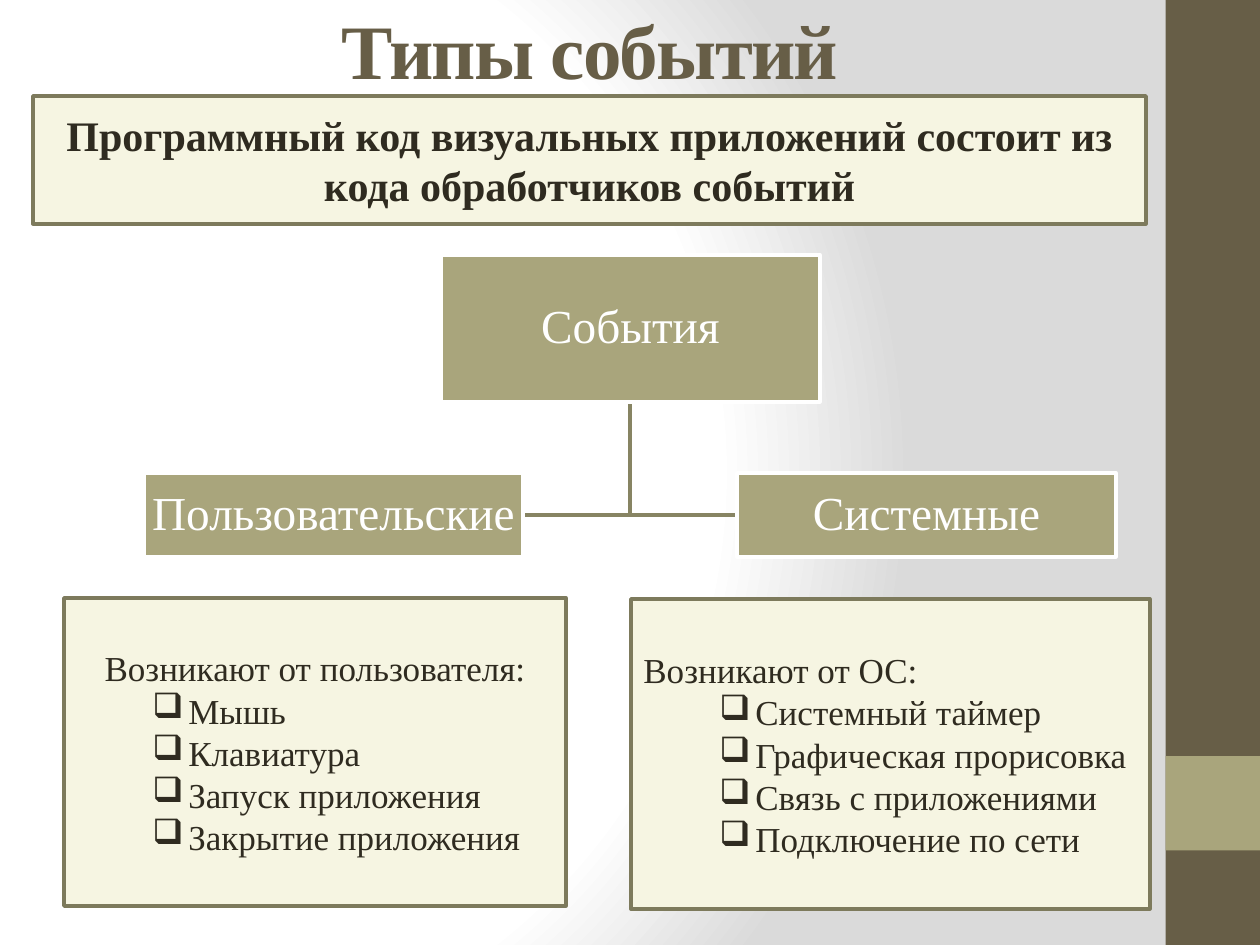
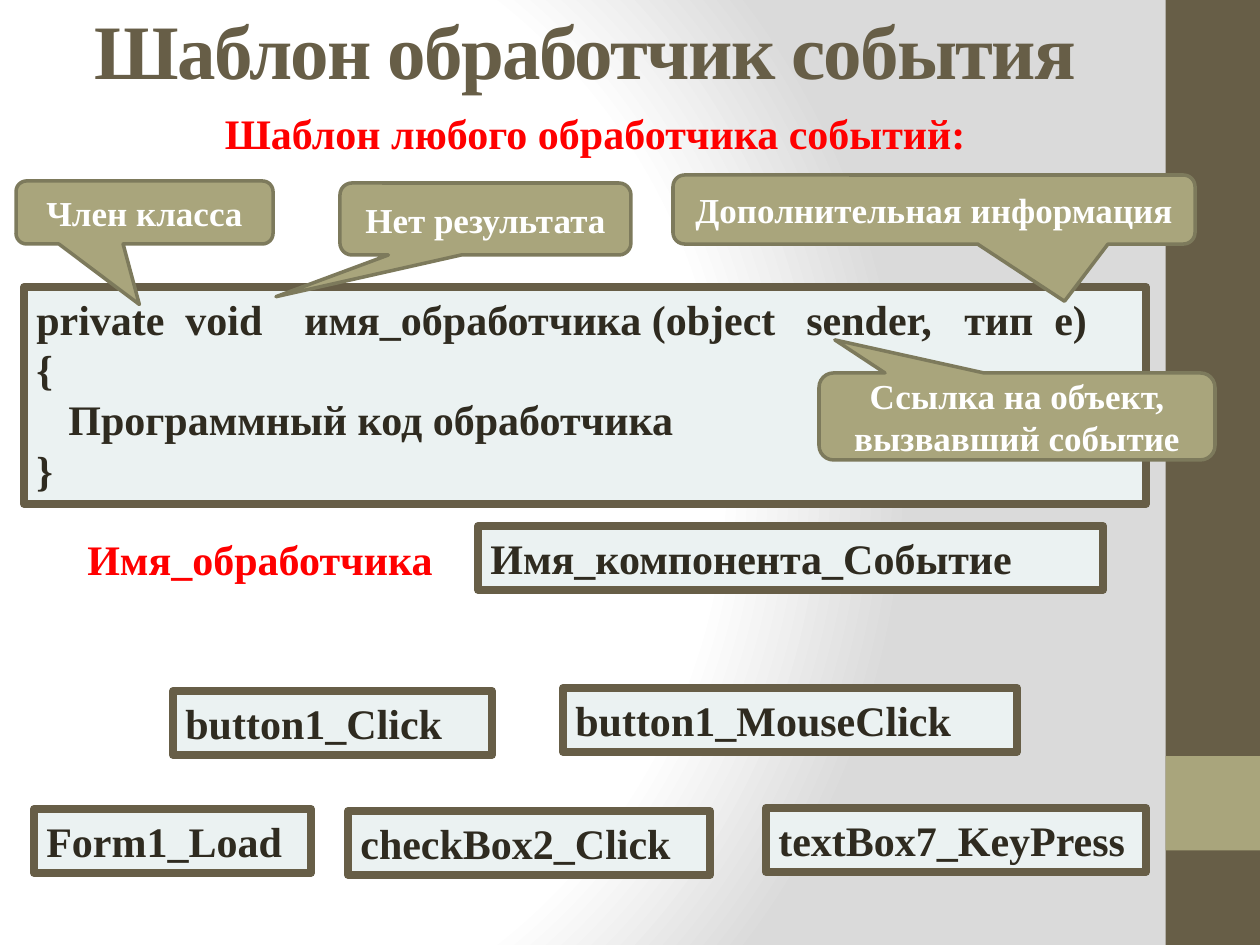
from dataclasses import dataclass

from pptx import Presentation
from pptx.dml.color import RGBColor
from pptx.enum.shapes import MSO_SHAPE as Preset
from pptx.enum.text import MSO_ANCHOR as Anchor, MSO_AUTO_SIZE as AutoSize, PP_ALIGN as Align
from pptx.oxml import parse_xml
from pptx.oxml.ns import nsdecls
from pptx.util import Pt

PIXEL = 914400 / 126  # EMU in one pixel


@dataclass(frozen=True)
class Theme:
    """Colours, the typeface and type sizes of the deck."""
    font: str = "Times New Roman"
    brown: str = "675E47"
    olive: str = "A9A57C"
    olive_edge: str = "7D7A5C"
    branch: str = "878463"
    cream: str = "F6F5E2"
    mist: str = "EBF2F2"
    ink: str = "2F2B20"
    red: str = "FF0000"
    white: str = "FFFFFF"
    shade: str = "DADADA"
    title_size: int = 44
    node_size: int = 27
    lead_size: int = 24
    text_size: int = 20


theme = Theme()

# Box styles: fill, line, line width, text colour, then font, paragraph and frame values
middle = {"vertical_anchor": Anchor.MIDDLE}
centred = {"alignment": Align.CENTER}
left = {"alignment": Align.LEFT}
lead_font = {"size": Pt(theme.lead_size), "bold": True}
node_inset = round(3 * PIXEL)

title_style = dict(ink=theme.brown, font={"size": Pt(theme.title_size), "bold": True},
                   para=centred, frame={**middle, "auto_size": AutoSize.NONE})
banner_style = dict(fill=theme.cream, line=theme.olive_edge, width=2, ink=theme.ink,
                    font=lead_font, para=centred, frame=middle)
list_style = {**banner_style, "font": {"size": Pt(theme.text_size)}, "para": left}
node_style = dict(fill=theme.olive, line=theme.white, width=2, ink=theme.white,
                  font={"size": Pt(theme.node_size)},
                  para={**centred, "line_spacing": 0.9},
                  frame={**middle, "margin_left": node_inset, "margin_right": node_inset,
                         "margin_top": node_inset, "margin_bottom": node_inset})
callout_style = dict(fill=theme.olive, line=theme.olive_edge, width=2, ink=theme.white,
                     font={"size": Pt(theme.text_size), "bold": True},
                     para=centred, frame=middle)
code_style = dict(fill=theme.mist, line=theme.brown, width=4.5, ink=theme.ink, font=lead_font,
                  para=left, frame={"vertical_anchor": Anchor.TOP,
                                    "auto_size": AutoSize.SHAPE_TO_FIT_TEXT})
heading_style = dict(ink=theme.red, font=lead_font, para=centred, frame=middle)
label_style = {**heading_style, "line": theme.white, "width": 2}
band_style = dict(ink=theme.white, font={}, para={}, frame={})


def write_text(shape, lines, style):
    """Write one paragraph per line and give it the style's format values."""
    frame = shape.text_frame
    frame.word_wrap = True
    for name, value in style["frame"].items():
        setattr(frame, name, value)
    for index, line in enumerate(lines):
        para = frame.add_paragraph() if index else frame.paragraphs[0]
        for name, value in style["para"].items():
            setattr(para, name, value)
        span = para.add_run()
        span.text = line
        span.font.name = theme.font
        span.font.color.rgb = RGBColor.from_string(style["ink"])
        for name, value in style["font"].items():
            setattr(span.font, name, value)
    return frame.paragraphs


def add_box(page, place, lines, style, preset=Preset.RECTANGLE):
    """Add a preset shape at a place in pixels, with its fill, line and text."""
    box = page.shapes.add_shape(preset, *(round(length * PIXEL) for length in place))
    box.shadow.inherit = False
    if "fill" in style:
        box.fill.solid()
        box.fill.fore_color.rgb = RGBColor.from_string(style["fill"])
    else:
        box.fill.background()
    if "line" in style:
        box.line.color.rgb = RGBColor.from_string(style["line"])
        box.line.width = Pt(style["width"])
    else:
        box.line.fill.background()
    write_text(box, lines, style)
    return box


deck = Presentation()
deck.slide_width = round(1260 * PIXEL)
deck.slide_height = round(945 * PIXEL)

# Pages and their titles
pages = []
for text, place in [("Типы событий", (15, 0, 1150, 98)),
                    ("Шаблон обработчик события", (6, 0, 1159, 98))]:
    page = deck.slides.add_slide(deck.slide_layouts[5])
    title = page.shapes.title
    title.left, title.top, title.width, title.height = (round(length * PIXEL) for length in place)
    paras = write_text(title, [text], title_style)
    paras[0].runs[0].font._element.set("spc", "-100")
    pages.append(page)
types_page, template_page = pages

# Shared background and side bands, held by the master
master = deck.slide_master
stops = "".join(f'<a:gs pos="{share * 1000}"><a:srgbClr val="{colour}"/></a:gs>'
                for share, colour in [(0, theme.white), (75, theme.white), (100, theme.shade)])
common = master.element.cSld
for old in common.findall("{*}bg"):
    common.remove(old)
common.insert(0, parse_xml(
    f'<p:bg {nsdecls("p", "a")}><p:bgPr><a:gradFill rotWithShape="1"><a:gsLst>{stops}</a:gsLst>'
    '<a:path path="circle"><a:fillToRect l="20000" t="50000" r="100000" b="50000"/></a:path>'
    '</a:gradFill><a:effectLst/></p:bgPr></p:bg>'))
for index, (place, colour) in enumerate([((1165.5, 0, 94.5, 945), theme.brown),
                                         ((1165.5, 756, 94.5, 94.5), theme.olive)]):
    band = add_box(types_page, place, [], {**band_style, "fill": colour})
    band.element.nvSpPr.cNvPr.set("id", str(20 + index))
    master.shapes.element.insert(2 + index, band.element)

# Page 1: two kinds of events, each with its list
for place, lines, alignment in [
    ((64, 598, 502, 308), ["Возникают от пользователя:", "Мышь", "Клавиатура",
                           "Запуск приложения", "Закрытие приложения"], Align.CENTER),
    ((631, 599, 519, 310), ["Возникают от ОС:", "Системный таймер", "Графическая прорисовка",
                            "Связь с приложениями", "Подключение по сети"], Align.LEFT),
]:
    box = add_box(types_page, place, lines, list_style)
    heading, *items = box.text_frame.paragraphs
    heading.alignment = alignment
    for para in items:
        settings = para._p.get_or_add_pPr()
        settings.set("marL", str(round(112 * PIXEL)))
        settings.set("indent", str(round(-36 * PIXEL)))
        settings.append(parse_xml(f'<a:buChar {nsdecls("a")} char="❑"/>'))

add_box(types_page, (33, 96, 1113, 128),
        ["Программный код визуальных приложений состоит из кода обработчиков событий"],
        banner_style)

# Branches from the root node to its two children
root_x, root_bottom, child_middle = 630, 402, 515
for child_x in (737, 523):
    builder = types_page.shapes.build_freeform(root_x, root_bottom, scale=PIXEL)
    builder.add_line_segments([(root_x, child_middle), (child_x, child_middle)], close=False)
    branch = builder.convert_to_shape()
    branch.shadow.inherit = False
    branch.fill.background()
    branch.line.color.rgb = RGBColor.from_string(theme.branch)
    branch.line.width = Pt(2)

for place, text in [((441, 255, 379, 147), "События"),
                    ((144, 473, 379, 84), "Пользовательские"),
                    ((737, 473, 379, 84), "Системные")]:
    add_box(types_page, place, [text], node_style)

# Page 2: the handler template, with tab stops between the parts of its signature
code = add_box(template_page, (24, 287, 1122, 217),
               ["private\tvoid\tимя_обработчика (object\tsender,\tтип\te)",
                "{", "Программный код обработчика", "}"], code_style)
signature, _, body, _ = code.text_frame.paragraphs
tabs = "".join(f'<a:tab pos="{round(stop * PIXEL)}" algn="l"/>'
               for stop in (149, 268, 770, 928, 1018))
signature._p.get_or_add_pPr().append(
    parse_xml(f'<a:tabLst {nsdecls("a")}>{tabs}</a:tabLst>'))
body._p.get_or_add_pPr().set("marL", str(round(32 * PIXEL)))

add_box(template_page, (24, 93, 1142, 80), ["Шаблон любого обработчика событий:"], heading_style)

# Callouts, each with the tip of its pointer
for place, tip, text in [
    ((340, 183, 291, 72), (-0.72, 1.08), "Нет результата"),
    ((16, 181, 257, 63), (-0.02, 1.46), "Член класса"),
    ((819, 373, 396, 87), (-0.46, -0.88), "Ссылка на объект, вызвавший событие"),
    ((673, 175, 522, 69), (0.25, 1.33), "Дополнительная информация"),
]:
    callout = add_box(template_page, place, [text], callout_style,
                      Preset.ROUNDED_RECTANGULAR_CALLOUT)
    callout.adjustments[0], callout.adjustments[1] = tip

# The naming rule and handler names that follow it
add_box(template_page, (20, 519, 480, 79), ["Имя_обработчика"], label_style)
for x, y, width, text in [
    (478, 526, 625, "Имя_компонента_Событие"),
    (173, 691, 319, "button1_Click"),
    (348, 811, 362, "checkBox2_Click"),
    (766, 808, 380, "textBox7_KeyPress"),
    (563, 688, 454, "button1_MouseClick"),
    (34, 809, 277, "Form1_Load"),
]:
    add_box(template_page, (x, y, width, 64), [text], code_style)

deck.save("out.pptx")
